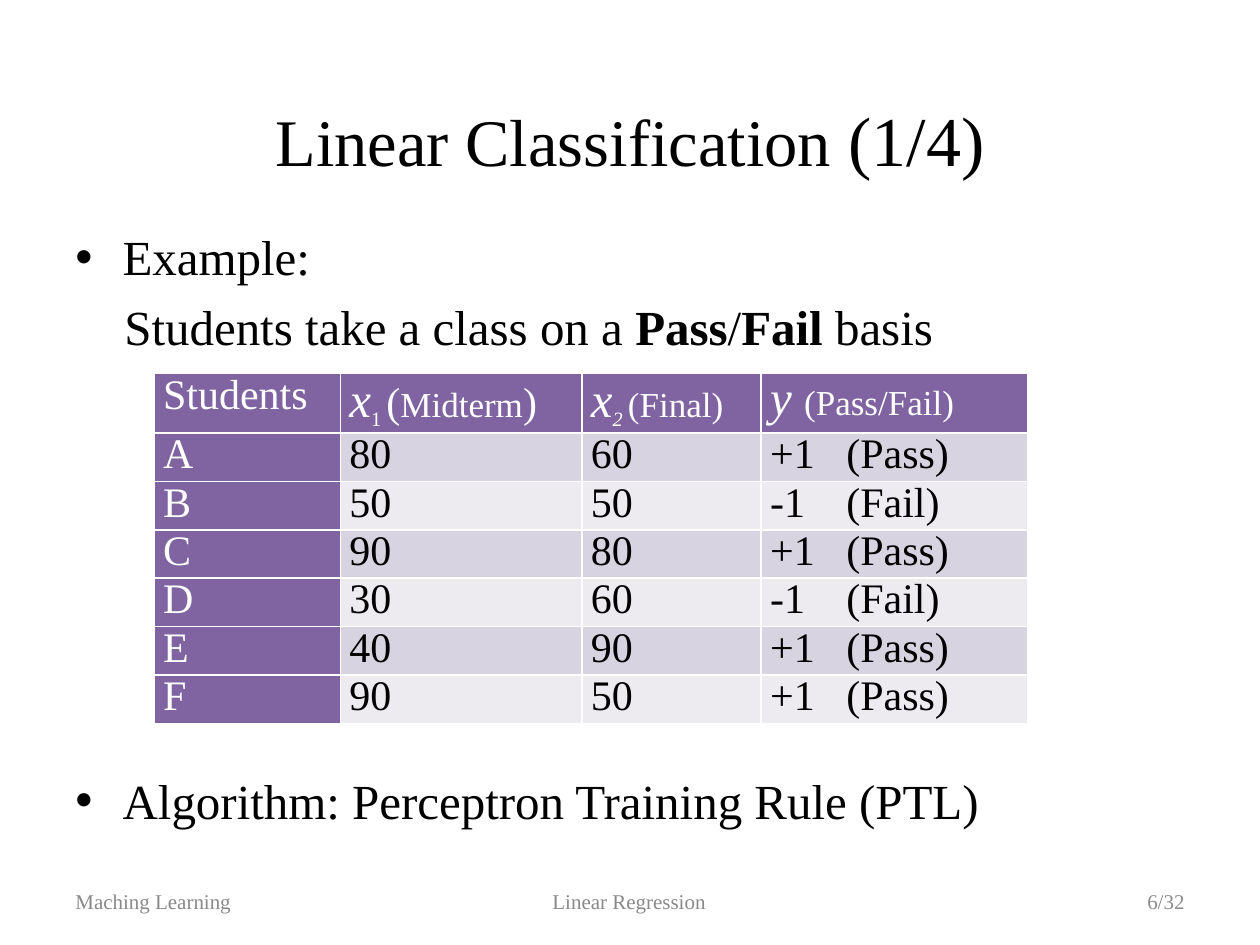
from pptx import Presentation
from pptx.dml.color import RGBColor
from pptx.enum import text
from pptx.oxml.ns import qn
from pptx.util import Pt
from lxml import etree

COLORS = {"black": "000000", "white": "FFFFFF", "gray": "898989", "page": "8C8C8C",
          "purple": "8064A2", "dark_band": "D8D3E0", "light_band": "EDEAF0"}
ALIGN = text.PP_ALIGN


class SlideWriter:
    """Holds the style and the current slide and adds elements to it."""

    font = "Times New Roman"

    def __init__(self, presentation):
        self.slide = presentation.slides.add_slide(presentation.slide_layouts[5])

    def fill_paragraph(self, paragraph, runs, color):
        for content, size, *marks in runs:
            run = paragraph.add_run()
            run.text = content
            run.font.name = self.font
            run.font.size = Pt(size)
            run.font.bold = "bold" in marks
            run.font.italic = "italic" in marks
            run.font.color.rgb = RGBColor.from_string(COLORS[color])
            if "sub" in marks:
                run._r.get_or_add_rPr().set("baseline", "-25000")

    def place(self, shape, left, top, width, height):
        shape.left, shape.top = Pt(left), Pt(top)
        shape.width, shape.height = Pt(width), Pt(height)

    def title(self, box, runs):
        shape = self.slide.shapes.title
        self.place(shape, *box)
        shape.text_frame.vertical_anchor = text.MSO_ANCHOR.MIDDLE
        paragraph = shape.text_frame.paragraphs[0]
        paragraph.alignment = ALIGN.CENTER
        self.fill_paragraph(paragraph, runs, "black")

    def text_box(self, box, anchor=text.MSO_ANCHOR.TOP):
        frame = self.slide.shapes.add_textbox(*map(Pt, box)).text_frame
        frame.word_wrap = True
        frame.vertical_anchor = anchor
        return frame

    def body(self, box, items):
        frame = self.text_box(box)
        for index, (runs, space, margin, bulleted) in enumerate(items):
            paragraph = frame.add_paragraph() if index else frame.paragraphs[0]
            paragraph.space_before = Pt(space)
            properties = paragraph._p.get_or_add_pPr()
            properties.set("marL", str(Pt(margin)))
            if bulleted:
                properties.set("indent", str(-Pt(margin)))
                etree.SubElement(properties, qn("a:buFont"), typeface="Arial")
                etree.SubElement(properties, qn("a:buChar"), char="•")
            self.fill_paragraph(paragraph, runs, "black")

    def footer(self, left, width, content, alignment, color):
        frame = self.text_box((left, 500.5, width, 28.75), text.MSO_ANCHOR.MIDDLE)
        frame.paragraphs[0].alignment = alignment
        self.fill_paragraph(frame.paragraphs[0], [(content, 12)], color)

    def cell(self, cell, runs, fill, color, tab):
        cell.fill.solid()
        cell.fill.fore_color.rgb = RGBColor.from_string(COLORS[fill])
        cell.margin_left = cell.margin_right = Pt(5.2)
        cell.margin_top = cell.margin_bottom = 0
        paragraph = cell.text_frame.paragraphs[0]
        paragraph.line_spacing = 0.96
        if tab:
            stops = etree.SubElement(paragraph._p.get_or_add_pPr(), qn("a:tabLst"))
            etree.SubElement(stops, qn("a:tab"), pos=str(Pt(tab)), algn="l")
        self.fill_paragraph(paragraph, runs, color)

    def table(self, left, top, widths, heights, header, records):
        rows = [header] + [[[(value, 24)] for value in record] for record in records]
        table = self.slide.shapes.add_table(len(rows), len(widths), Pt(left), Pt(top),
                                            Pt(sum(widths)), Pt(sum(heights))).table
        for column, width in zip(table.columns, widths):
            column.width = Pt(width)
        for r, runs_by_column in enumerate(rows):
            table.rows[r].height = Pt(heights[r])
            for c, runs in enumerate(runs_by_column):
                heading = r == 0 or c == 0
                band = "dark_band" if r % 2 else "light_band"
                self.cell(table.cell(r, c), runs, "purple" if heading else band,
                          "white" if heading else "black",
                          43.5 if "\t" in runs[0][0] else 0)


presentation = Presentation()
presentation.slide_width, presentation.slide_height = Pt(720), Pt(540)
writer = SlideWriter(presentation)

writer.title((36, 34, 648, 90), [("Linear Classification ", 38), ("(1/4)", 40)])
writer.body((36, 126, 648, 356.5), [
    ([("Example:", 28)], 6, 27, True),
    ([("Students take a class on a\u00a0", 28), ("Pass", 28, "bold"), ("/", 28),
      ("Fail\u00a0", 28, "bold"), ("basis", 28)], 6.5, 28, False),
    ([("Algorithm: Perceptron Training Rule (PTL)", 28)], 237, 27, True),
])

scores = [("A", 80, 60), ("B", 50, 50), ("C", 90, 80),
          ("D", 30, 60), ("E", 40, 90), ("F", 90, 50)]
failed = {"B", "D"}
records = [(student, str(midterm), str(final),
            "-1\t(Fail)" if student in failed else "+1\t(Pass)")
           for student, midterm, final in scores]
header = [
    [("Students", 24)],
    [("x", 28, "italic"), ("1 ", 20, "sub"), ("(", 24), ("Midterm", 20), (")", 24)],
    [("x", 28, "italic"), ("2 ", 20, "italic", "sub"), ("(Final)", 20)],
    [("y ", 28, "italic"), ("(Pass/Fail)", 20)],
]
writer.table(88, 213.5, [106.5, 138, 102.5, 152.5], [32] + [26.5] * 6, header, records)

writer.footer(36, 168, "Maching Learning", ALIGN.LEFT, "gray")
writer.footer(245.5, 228, "Linear Regression", ALIGN.CENTER, "gray")
writer.footer(516, 168, "6/32", ALIGN.RIGHT, "page")

presentation.save("out.pptx")
